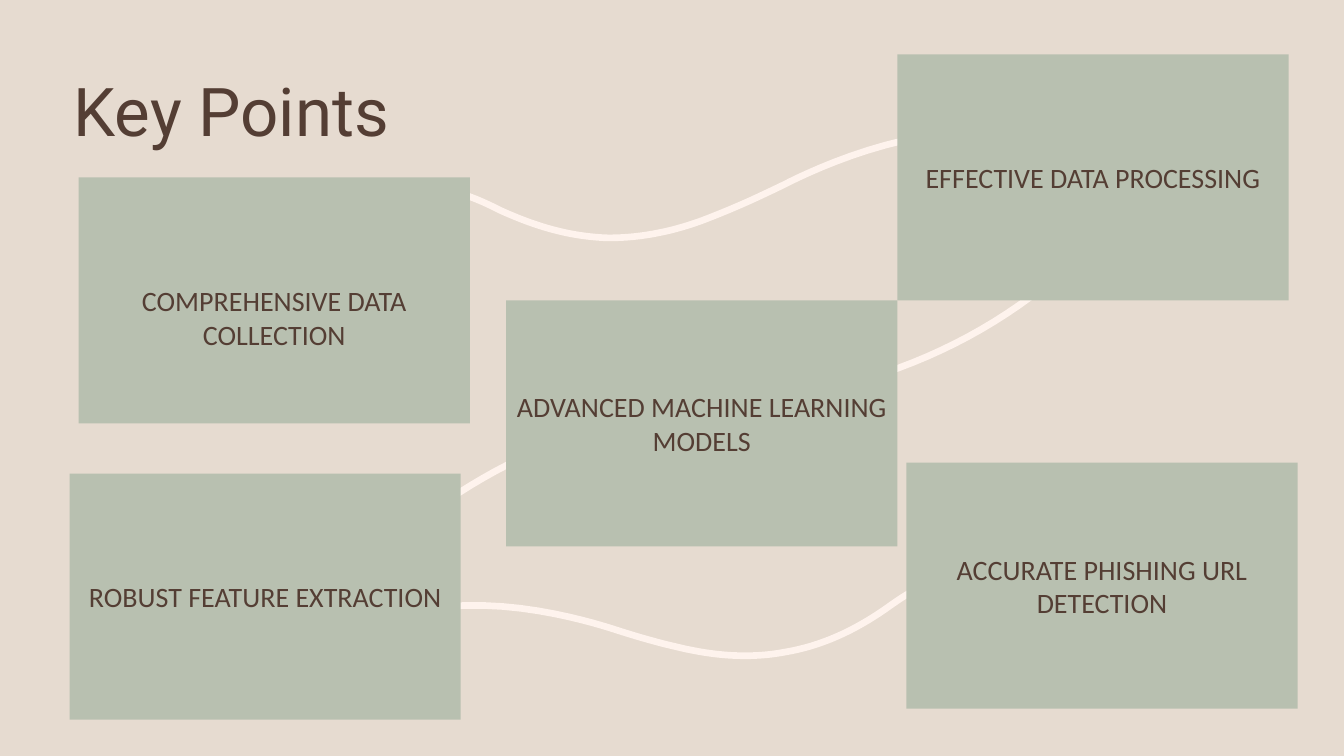
from dataclasses import dataclass

from pptx import Presentation
from pptx.dml.color import RGBColor
from pptx.enum.shapes import MSO_SHAPE as Shape
from pptx.enum.text import MSO_ANCHOR as Anchor, MSO_AUTO_SIZE as AutoSize, PP_ALIGN as Align
from pptx.util import Inches, Pt


@dataclass(frozen=True)
class Theme:
    background: RGBColor = RGBColor.from_string("E6DBD0")
    card: RGBColor = RGBColor.from_string("B8C0B0")
    curve: RGBColor = RGBColor.from_string("FEF3ED")
    ink: RGBColor = RGBColor.from_string("543E34")
    title_font: str = "Roboto"
    body_font: str = "Calibri"
    title_size: int = 48
    body_size: int = 20
    curve_width: float = 4.75


THEME = Theme()
CARD_W, CARD_H = 3.88, 2.44
CURVE_STEPS = 16

CARDS = [
    (0.78, 1.76, "COMPREHENSIVE DATA COLLECTION", 0.38),
    (8.9, 0.54, "EFFECTIVE DATA PROCESSING", 0.05),
    (5.02, 2.98, "ADVANCED MACHINE LEARNING MODELS", 0.05),
    (0.69, 4.7, "ROBUST FEATURE EXTRACTION", 0.05),
    (8.99, 4.59, "ACCURATE PHISHING URL DETECTION", 0.05),
]

CURVES = [
    [(8.33, 3.83), (9.13, 3.63), (9.85, 3.27), (10.47, 2.75)],
    [(5.84, 4.28), (5.09, 4.52), (4.45, 4.9), (3.89, 5.39)],
    [(3.07, 2.23), (3.5, 1.87), (3.98, 1.77), (4.49, 1.9),
     (4.66, 1.94), (4.81, 2.01), (4.97, 2.09),
     (5.3, 2.24), (5.65, 2.35), (6.04, 2.36),
     (6.37, 2.36), (6.7, 2.29), (7.01, 2.17),
     (7.37, 2.03), (7.57, 1.93), (7.78, 1.83),
     (8.01, 1.71), (9.4, 1.03), (10.27, 1.46)],
    [(9.2, 5.79), (9.04, 5.86), (8.91, 5.95), (8.77, 6.05),
     (8.48, 6.25), (8.15, 6.41), (7.78, 6.47),
     (7.46, 6.53), (7.14, 6.51), (6.81, 6.44),
     (6.45, 6.36), (6.24, 6.29), (6.02, 6.22),
     (5.78, 6.15), (4.34, 5.7), (3.47, 6.36)],
]


def write_text(tf, text, font, size, align, spacing=1.0):
    tf.word_wrap = True
    tf.auto_size = AutoSize.NONE
    tf.vertical_anchor = Anchor.MIDDLE
    p = tf.paragraphs[0]
    p.alignment = align
    p.line_spacing = spacing
    r = p.add_run()
    r.text = text
    r.font.name = font
    r.font.size = Pt(size)
    r.font.color.rgb = THEME.ink


def bezier_point(controls, t):
    weights = ((1 - t) ** 3, 3 * t * (1 - t) ** 2, 3 * t ** 2 * (1 - t), t ** 3)
    return tuple(Inches(sum(w * c[axis] for w, c in zip(weights, controls))) for axis in (0, 1))


def add_curve(s, controls):
    points = [
        bezier_point(controls[i:i + 4], step / CURVE_STEPS)
        for i in range(0, len(controls) - 1, 3)
        for step in range(1, CURVE_STEPS + 1)
    ]
    x, y = controls[0]
    builder = s.shapes.build_freeform(Inches(x), Inches(y))
    builder.add_line_segments(points, close=False)
    sp = builder.convert_to_shape()
    sp.shadow.inherit = False
    sp.fill.background()
    sp.line.color.rgb = THEME.curve
    sp.line.width = Pt(THEME.curve_width)


def add_card(s, left, top, text, top_inset):
    sp = s.shapes.add_shape(Shape.RECTANGLE, Inches(left), Inches(top), Inches(CARD_W), Inches(CARD_H))
    sp.shadow.inherit = False
    sp.fill.solid()
    sp.fill.fore_color.rgb = THEME.card
    sp.line.fill.background()
    sp.text_frame.margin_top = Inches(top_inset)
    write_text(sp.text_frame, text, font=THEME.body_font, size=THEME.body_size, align=Align.CENTER)


def set_title(s, text):
    title = s.shapes.title
    title.left, title.top = Inches(0.63), Inches(0.77)
    title.width, title.height = Inches(10), Inches(0.74)
    write_text(title.text_frame, text, font=THEME.title_font, size=THEME.title_size,
               align=Align.LEFT, spacing=0.9)


def main():
    prs = Presentation()
    prs.slide_width, prs.slide_height = Inches(13.33), Inches(7.5)
    s = prs.slides.add_slide(prs.slide_layouts[5])
    s.background.fill.solid()
    s.background.fill.fore_color.rgb = THEME.background
    set_title(s, "Key Points")
    for controls in CURVES:
        add_curve(s, controls)
    for card in CARDS:
        add_card(s, *card)
    prs.save("out.pptx")


if __name__ == "__main__":
    main()
